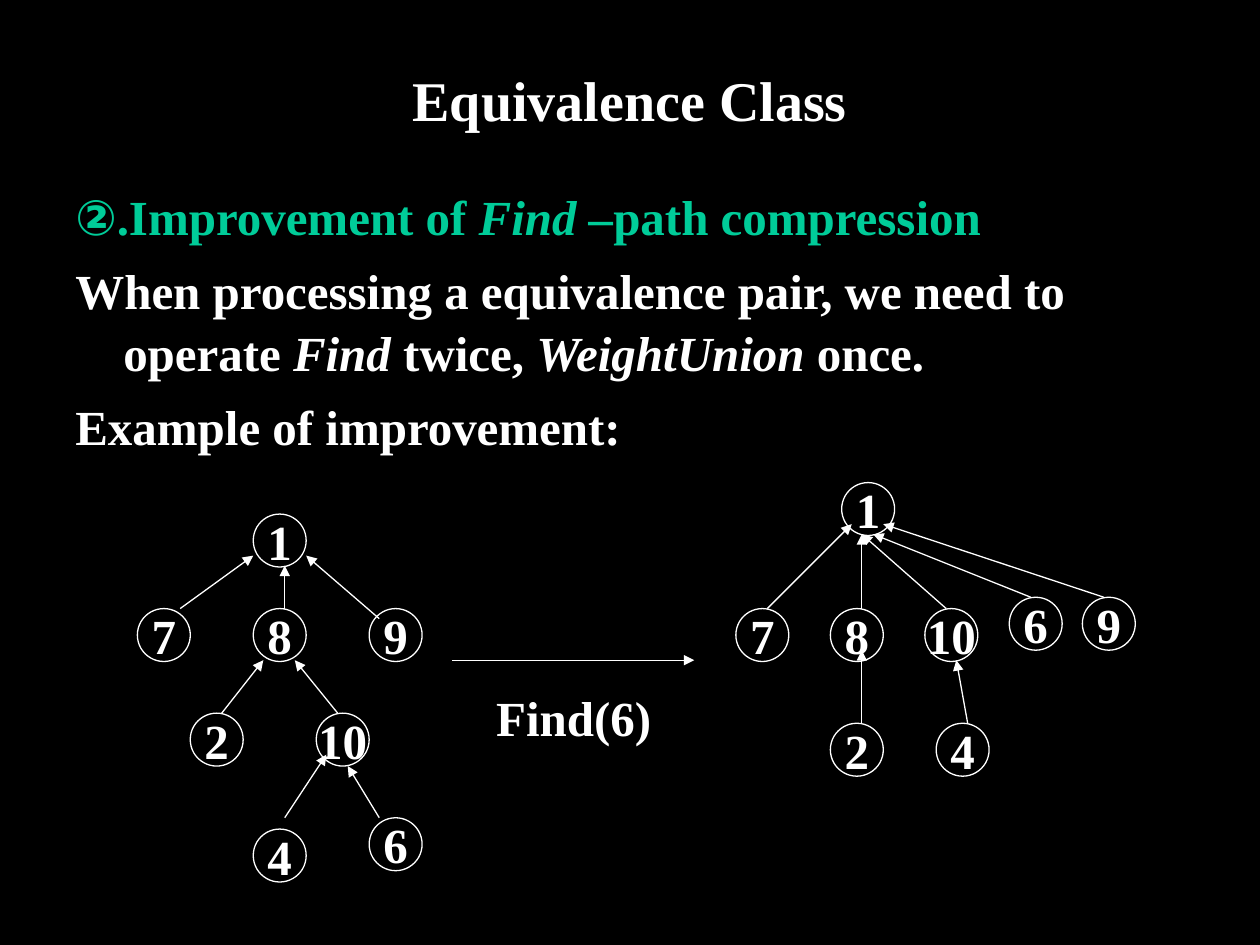
from lxml import etree
from pptx import Presentation
from pptx import util as u
from pptx.dml.color import RGBColor
from pptx.enum import shapes, text
from pptx.oxml.ns import qn

WHITE, GREEN, BLACK = "FFFFFF", "00CC99", "000000"
NODE = 0.42


def color(value):
    return RGBColor.from_string(value)


class Board:
    font = "Times New Roman"
    line_width = u.Pt(0.74)

    def __init__(self, slide):
        self.slide = slide
        slide.background.fill.solid()
        slide.background.fill.fore_color.rgb = color(BLACK)

    def style(self, paragraph, size=28, fill=WHITE, before=0):
        font = paragraph.font
        font.name, font.size, font.bold = self.font, u.Pt(size), True
        font.color.rgb = color(fill)
        paragraph.space_before = u.Pt(before)

    def box(self, left, top, width, height):
        shape = self.slide.shapes.add_textbox(*map(u.Inches, (left, top, width, height)))
        shape.text_frame.word_wrap = True
        return shape.text_frame

    def label(self, area, words, size=28, before=0, align=None, anchor=None):
        frame = self.box(*area)
        frame.vertical_anchor = anchor
        paragraph = frame.paragraphs[0]
        paragraph.text, paragraph.alignment = words, align
        self.style(paragraph, size, before=before)

    def body(self, area, paragraphs):
        frame = self.box(*area)
        for index, (fill, runs) in enumerate(paragraphs):
            paragraph = frame.add_paragraph() if index else frame.paragraphs[0]
            self.style(paragraph, fill=fill, before=7)
            paragraph.line_spacing = 1.05
            properties = paragraph._p.get_or_add_pPr()
            properties.set("marL", str(u.Inches(0.38)))
            properties.set("indent", str(u.Inches(-0.38)))
            for words, italic, font in runs:
                run = paragraph.add_run()
                run.text, run.font.italic = words, italic
                run.font.name = font or self.font

    def node(self, words, left, top):
        shape = self.slide.shapes.add_shape(
            shapes.MSO_SHAPE.OVAL, *map(u.Inches, (left, top, NODE, NODE)))
        shape.shadow.inherit = False
        shape.fill.background()
        shape.line.color.rgb = color(WHITE)
        shape.line.width = self.line_width
        frame = shape.text_frame
        frame.word_wrap = False
        frame.vertical_anchor = text.MSO_ANCHOR.MIDDLE
        frame.margin_left = frame.margin_right = u.Inches(0.1)
        frame.margin_top = frame.margin_bottom = u.Inches(0.05)
        paragraph = frame.paragraphs[0]
        paragraph.text, paragraph.alignment = words, text.PP_ALIGN.CENTER
        self.style(paragraph, before=7)

    def arrow(self, *ends):
        connector = self.slide.shapes.add_connector(
            shapes.MSO_CONNECTOR.STRAIGHT, *map(u.Inches, ends))
        connector.line.color.rgb = color(WHITE)
        connector.line.width = self.line_width
        etree.SubElement(connector.line._get_or_add_ln(), qn("a:tailEnd"), type="triangle")
        etree.SubElement(connector._element.spPr, qn("a:effectLst"))


presentation = Presentation()
presentation.slide_width, presentation.slide_height = u.Inches(10), u.Inches(7.5)
board = Board(presentation.slides.add_slide(presentation.slide_layouts[6]))

board.label((0.75, 0.33, 8.5, 0.92), "Equivalence Class", 32,
            align=text.PP_ALIGN.CENTER, anchor=text.MSO_ANCHOR.MIDDLE)
board.body((0.5, 1.41, 8.95, 6.09), [
    (GREEN, [("②", False, "Arial"), (".Improvement of ", False, None),
             ("Find –", True, None), ("path compression", False, None)]),
    (WHITE, [("When processing a equivalence pair, we need to operate ", False, None),
             ("Find", True, None), (" twice, ", False, None),
             ("WeightUnion", True, None), (" once.", False, None)]),
    (WHITE, [("Example of improvement:", False, None)]),
])

tree_before = [("1", 2.01, 4.08), ("7", 1.09, 4.83), ("8", 2.01, 4.83), ("9", 2.93, 4.83),
               ("2", 1.51, 5.66), ("10", 2.51, 5.66), ("4", 2.01, 6.58), ("6", 2.93, 6.49)]
tree_after = [("1", 6.68, 3.83), ("7", 5.84, 4.83), ("8", 6.59, 4.83), ("9", 8.59, 4.74),
              ("10", 7.34, 4.83), ("6", 8.01, 4.74), ("4", 7.43, 5.74), ("2", 6.59, 5.74)]
for node in tree_before + tree_after:
    board.node(*node)

links_before = [(1.43, 4.83, 2.01, 4.41), (2.26, 4.83, 2.26, 4.49), (3.01, 4.91, 2.43, 4.41),
                (1.76, 5.66, 2.09, 5.24), (2.68, 5.66, 2.34, 5.24),
                (2.26, 6.49, 2.59, 5.99), (3.01, 6.49, 2.76, 6.08)]
links_after = [(6.09, 4.83, 6.76, 4.16), (6.84, 4.83, 6.84, 4.24), (7.51, 4.83, 6.84, 4.24),
               (8.18, 4.74, 6.93, 4.24), (8.76, 4.74, 7.01, 4.16),
               (6.84, 5.74, 6.84, 5.16), (7.68, 5.74, 7.59, 5.24)]
find_step = (3.59, 5.24, 5.51, 5.24)
for link in links_before + links_after + [find_step]:
    board.arrow(*link)

board.label((3.84, 5.41, 1.5, 0.57), "Find(6)", before=17.5)

presentation.save("out.pptx")
